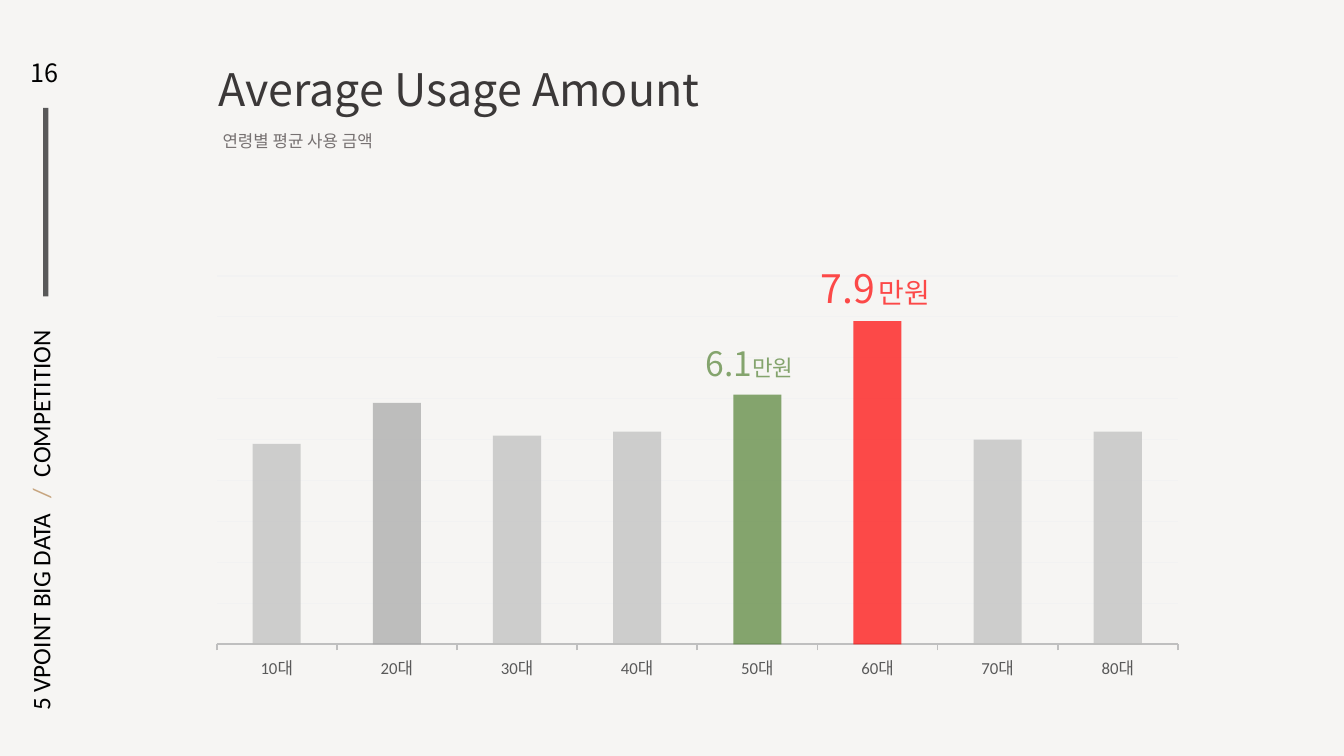
from dataclasses import dataclass

import pptx
import pptx.chart.data
import pptx.dml.color
import pptx.enum.chart
import pptx.enum.shapes
import pptx.enum.text
import pptx.oxml
import pptx.oxml.ns
import pptx.util
from pptx.util import Cm

COLORS = {
    "paper": "F6F5F3", "black": "000000", "slash": "C7A57F", "rule": "595959",
    "title": "3B3838", "subtitle": "767171", "red label": "FC4948", "green label": "84A46D",
    "axis": "BFBFBF", "grid": "F2F2F2", "plain bar": "BDBDBC", "dark bar": "A6A6A6",
    "green bar": "548235", "red bar": "FF0000",
}
SANS = "Noto Sans CJK KR"
LATIN = "Calibri"
BAR_OPACITY = 70


@dataclass
class Span:
    text: str
    size: float
    color: str
    font: str = SANS
    spacing: float = 0


@dataclass
class TextBlock:
    left: float
    top: float
    width: float
    height: float
    spans: list[Span]
    centered: bool = False
    upward: bool = False


@dataclass
class AgeGroup:
    label: str
    amount: float
    color: str = "plain bar"


TEXT_BLOCKS = [
    TextBlock(0.51, 6.53, 1.27, 6.27, [
        Span("/", 18, "slash", LATIN),
        Span(" ", 18, "slash", LATIN, spacing=4),
        Span("COMPETITION", 18, "black", LATIN)], upward=True),
    TextBlock(0.51, 11.89, 1.27, 6.27,
              [Span("5 VPOINT BIG DATA", 18, "black", LATIN)], upward=True),
    TextBlock(13.41, 6.53, 17.3, 1.45, [
        Span("7.9", 28, "red label"), Span(" ", 12, "red label"),
        Span("만원", 20, "red label")], centered=True),
    TextBlock(10.24, 8.51, 17.3, 1.27, [
        Span("6.1", 24, "green label"), Span("만원", 16, "green label")], centered=True),
    TextBlock(5.26, 1.42, 18.19, 1.63, [Span("Average Usage Amount", 32, "title")]),
    TextBlock(5.36, 3.18, 14.05, 0.76, [Span("연령별 평균 사용 금액", 12, "subtitle")]),
    TextBlock(0.53, 1.32, 1.45, 1.02, [Span("16", 18, "black")]),
]

AGE_GROUPS = [
    AgeGroup("10대", 4.9), AgeGroup("20대", 5.9, "dark bar"),
    AgeGroup("30대", 5.1), AgeGroup("40대", 5.2),
    AgeGroup("50대", 6.1, "green bar"), AgeGroup("60대", 7.9, "red bar"),
    AgeGroup("70대", 5.0), AgeGroup("80대", 5.2),
]


def rgb(name: str) -> pptx.dml.color.RGBColor:
    return pptx.dml.color.RGBColor.from_string(COLORS[name])


def add_run(paragraph, text: str, *, size: float, color: str, font: str, spacing: float = 0) -> None:
    run = paragraph.add_run()
    run.text = text
    run.font.size = pptx.util.Pt(size)
    run.font.name = font
    run.font.color.rgb = rgb(color)
    properties = run.font._element
    if spacing:
        properties.set("spc", str(round(spacing * 100)))
    east_asian = pptx.oxml.parse_xml(
        f'<a:ea {pptx.oxml.ns.nsdecls("a")} typeface="{font}"/>')
    properties.find(pptx.oxml.ns.qn("a:latin")).addnext(east_asian)


def add_text_block(slide, block: TextBlock) -> None:
    shape = slide.shapes.add_textbox(
        Cm(block.left), Cm(block.top), Cm(block.width), Cm(block.height))
    frame = shape.text_frame
    frame.word_wrap = True
    frame.auto_size = pptx.enum.text.MSO_AUTO_SIZE.SHAPE_TO_FIT_TEXT
    if block.upward:
        shape.rotation = 180
        frame._txBody.bodyPr.set("vert", "eaVert")
    paragraph = frame.paragraphs[0]
    if block.centered:
        paragraph.alignment = pptx.enum.text.PP_ALIGN.CENTER
    for span in block.spans:
        add_run(paragraph, span.text, size=span.size, color=span.color,
                font=span.font, spacing=span.spacing)


def add_rectangle(slide, left: float, top: float, width: float, height: float, color: str) -> None:
    shape = slide.shapes.add_shape(
        pptx.enum.shapes.MSO_SHAPE.RECTANGLE, Cm(left), Cm(top), Cm(width), Cm(height))
    shape.shadow.inherit = False
    shape.fill.solid()
    shape.fill.fore_color.rgb = rgb(color)
    shape.line.fill.background()


def place_plot(chart, x: float, y: float, width: float, height: float) -> None:
    """Fix the inner plot area, in fractions of the chart."""
    plot_area = chart._chartSpace.chart.plotArea
    for layout in plot_area.findall(pptx.oxml.ns.qn("c:layout")):
        plot_area.remove(layout)
    sizes = "".join(f'<c:{tag} val="{value}"/>'
                    for tag, value in zip("xywh", (x, y, width, height)))
    plot_area.insert(0, pptx.oxml.parse_xml(
        f'<c:layout {pptx.oxml.ns.nsdecls("c")}><c:manualLayout>'
        '<c:layoutTarget val="inner"/><c:xMode val="edge"/><c:yMode val="edge"/>'
        f'{sizes}</c:manualLayout></c:layout>'))


def color_bar(point, color: str) -> None:
    point.format.fill.solid()
    point.format.fill.fore_color.rgb = rgb(color)
    for element in point.format.fill._xPr.iter(pptx.oxml.ns.qn("a:srgbClr")):
        element.append(pptx.oxml.parse_xml(
            f'<a:alpha {pptx.oxml.ns.nsdecls("a")} val="{BAR_OPACITY * 1000}"/>'))


def add_usage_chart(slide, groups: list[AgeGroup]) -> None:
    data = pptx.chart.data.CategoryChartData()
    data.categories = [group.label for group in groups]
    data.add_series("Series 1", [group.amount for group in groups])
    chart = slide.shapes.add_chart(
        pptx.enum.chart.XL_CHART_TYPE.COLUMN_CLUSTERED,
        Cm(4.95), Cm(6.53), Cm(25.5), Cm(10.67), data).chart
    chart.has_legend = False
    chart.has_title = False
    chart.font.name = LATIN
    chart.font.size = pptx.util.Pt(10)
    chart.font.color.rgb = rgb("black")
    place_plot(chart, 0.02, 0.04, 0.95, 0.87)

    plot = chart.plots[0]
    plot.vary_by_categories = False
    plot.gap_width = 150
    plot.overlap = 25
    for index, group in enumerate(groups):
        color_bar(plot.series[0].points[index], group.color)

    ages = chart.category_axis
    ages.major_tick_mark = pptx.enum.chart.XL_TICK_MARK.OUTSIDE
    ages.format.line.color.rgb = rgb("axis")
    ages.format.line.width = pptx.util.Pt(1.25)
    ages.tick_labels.font.name = LATIN
    ages.tick_labels.font.size = pptx.util.Pt(12)
    ages.tick_labels.font.color.rgb = rgb("rule")

    amounts = chart.value_axis
    amounts.visible = False
    amounts.minimum_scale = 0
    amounts.maximum_scale = 9
    amounts.major_unit = 1
    amounts.has_major_gridlines = True
    amounts.major_gridlines.format.line.color.rgb = rgb("grid")
    amounts.major_gridlines.format.line.width = pptx.util.Pt(0.75)


def main() -> None:
    presentation = pptx.Presentation()
    presentation.slide_width = Cm(33.87)
    presentation.slide_height = Cm(19.05)
    slide = presentation.slides.add_slide(presentation.slide_layouts[6])
    add_rectangle(slide, 0, 0, 33.87, 19.05, "paper")
    add_rectangle(slide, 1.09, 2.72, 0.13, 4.75, "rule")
    add_usage_chart(slide, AGE_GROUPS)
    for block in TEXT_BLOCKS:
        add_text_block(slide, block)
    presentation.save("out.pptx")


if __name__ == "__main__":
    main()
